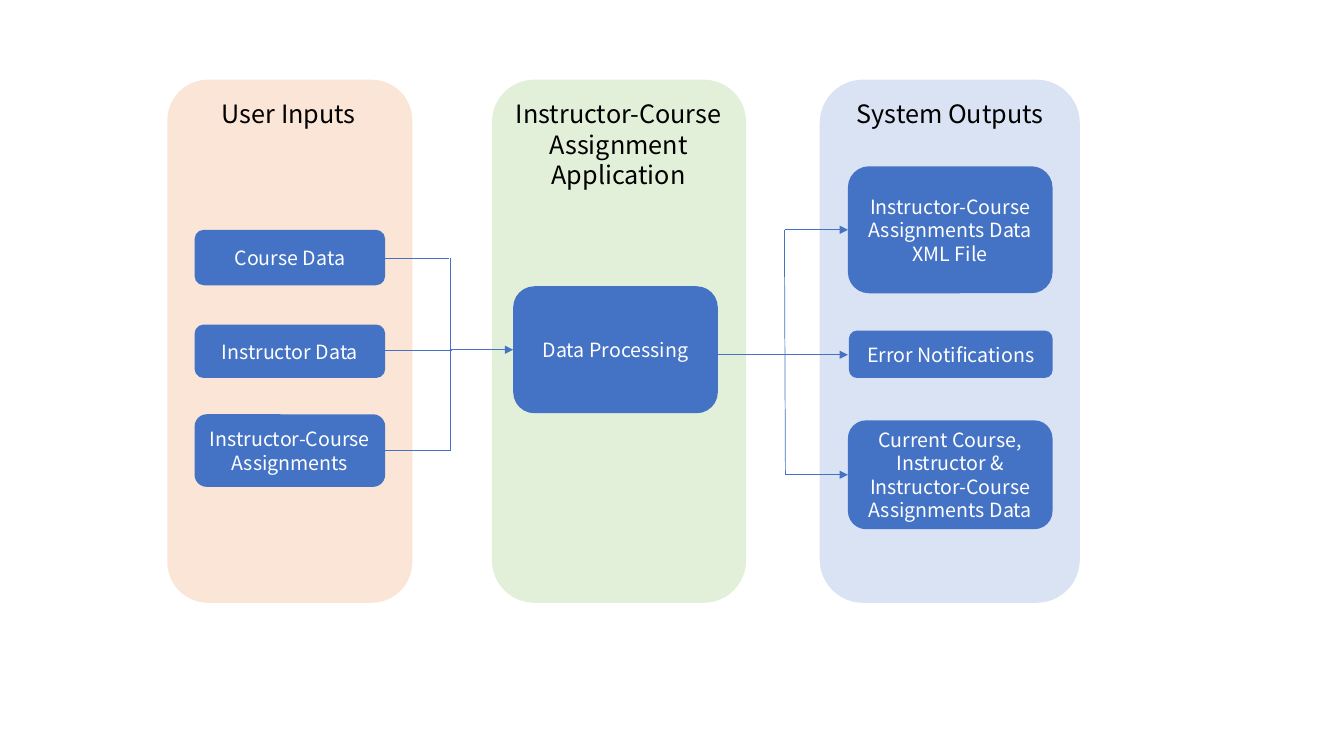
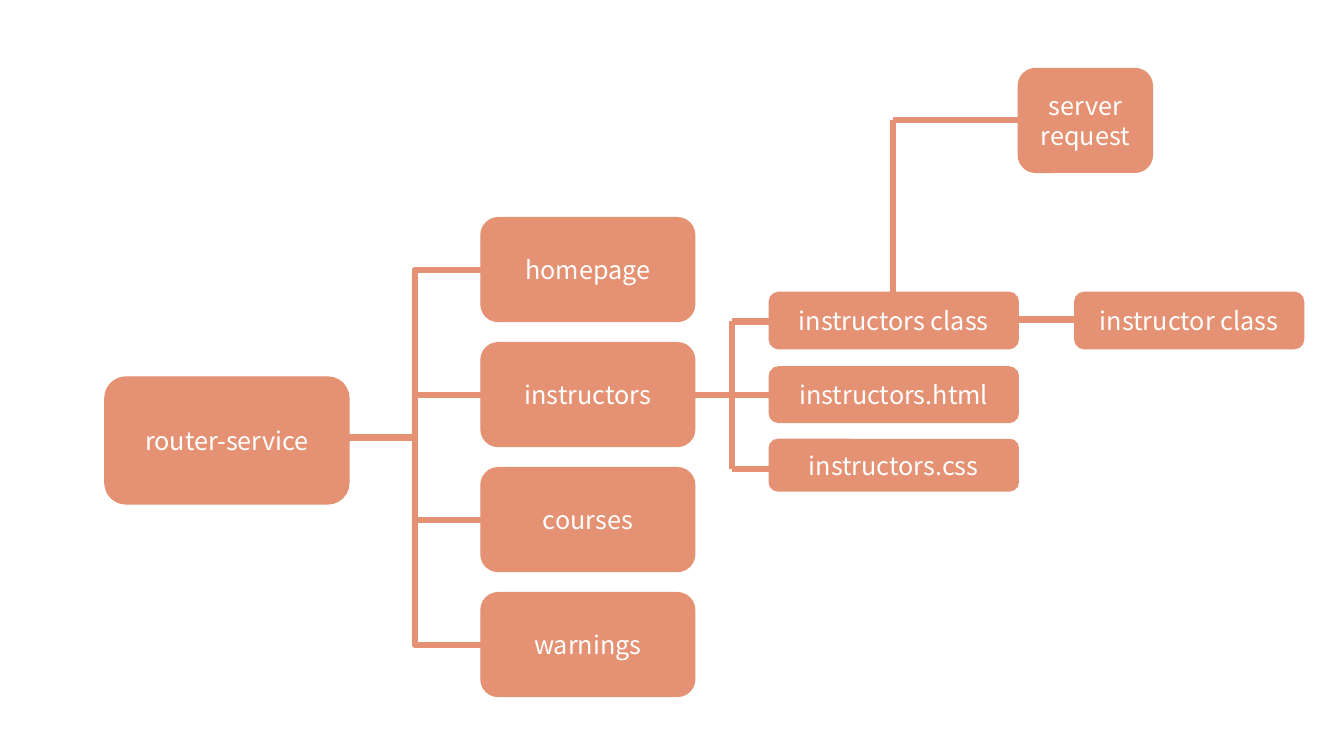
from dataclasses import dataclass
from typing import Any

from lxml.etree import SubElement
from pptx import Presentation
from pptx.dml.color import RGBColor
from pptx.enum.shapes import MSO_CONNECTOR, MSO_SHAPE
from pptx.enum.text import MSO_ANCHOR, MSO_AUTO_SIZE, PP_ALIGN
from pptx.oxml.ns import qn
from pptx.slide import Slide
from pptx.util import Pt

PX = 9144
FONT = "Noto Sans CJK JP"
BLUE, CORAL = "4472C4", "E49273"
WHITE, BLACK = "FFFFFF", "000000"


@dataclass
class Box:
    x: int
    y: int
    w: int
    h: int
    text: str = ""


@dataclass
class Panel:
    box: Box
    fill: str
    title: Box


@dataclass
class Link:
    x1: int
    y1: int
    x2: int
    y2: int
    arrow: bool = False
    bent: bool = False


def paint(item: Any, tone: str) -> None:
    item.solid()
    item.fore_color.rgb = RGBColor.from_string(tone)


def apply(item: Any, form: dict[str, Any]) -> None:
    for key, value in form.items():
        setattr(item, key, value)


def scale(*lengths: int) -> list[int]:
    return [length * PX for length in lengths]


def write(frame: Any, text: str, size: int, tone: str) -> None:
    para = frame.paragraphs[0]
    para.alignment = PP_ALIGN.CENTER
    run = para.add_run()
    run.text = text
    apply(run.font, {"name": FONT, "size": Pt(size)})
    paint(run.font.fill, tone)


def draw_box(slide: Slide, box: Box, fill: str, size: int = 14, edge: int = 0) -> None:
    shape = slide.shapes.add_shape(
        MSO_SHAPE.ROUNDED_RECTANGLE, *scale(box.x, box.y, box.w, box.h)
    )
    shape.shadow.inherit = False
    paint(shape.fill, fill)
    if edge:
        paint(shape.line.fill, fill)
        shape.line.width = Pt(edge)
    else:
        shape.line.fill.background()
    if box.text:
        apply(shape.text_frame, {"word_wrap": True, "vertical_anchor": MSO_ANCHOR.MIDDLE})
        write(shape.text_frame, box.text, size, WHITE)


def draw_title(slide: Slide, box: Box) -> None:
    frame = slide.shapes.add_textbox(*scale(box.x, box.y, box.w, box.h)).text_frame
    apply(frame, {"word_wrap": True, "auto_size": MSO_AUTO_SIZE.SHAPE_TO_FIT_TEXT})
    write(frame, box.text, 18, BLACK)


def draw_link(slide: Slide, link: Link, tone: str, width: float) -> None:
    kind = MSO_CONNECTOR.ELBOW if link.bent else MSO_CONNECTOR.STRAIGHT
    line = slide.shapes.add_connector(kind, *scale(link.x1, link.y1, link.x2, link.y2))
    paint(line.line.fill, tone)
    line.line.width = Pt(width)
    props = line.element.spPr
    if link.arrow:
        SubElement(props.find(qn("a:ln")), qn("a:tailEnd"), type="triangle")
    SubElement(props, qn("a:effectLst"))


def draw_flow(slide: Slide) -> None:
    top, high, head = 79, 519, 93
    panels = [
        Panel(Box(166, top, 243, high), "FBE5D6", Box(187, head, 199, 40, "User Inputs")),
        Panel(
            Box(488, top, 252, high),
            "E2F0D9",
            Box(493, head, 241, 101, "Instructor-Course Assignment Application"),
        ),
        Panel(Box(813, top, 258, high), "DAE3F3", Box(822, head, 241, 40, "System Outputs")),
    ]
    links = [
        Link(376, 256, 445, 256),
        Link(379, 348, 448, 348),
        Link(379, 447, 447, 447),
        Link(447, 256, 447, 447),
        Link(447, 347, 509, 347, arrow=True),
        Link(712, 352, 781, 352),
        Link(778, 228, 779, 471),
        *[Link(779, y, 841, y, arrow=True) for y in (228, 352, 471)],
    ]
    boxes = [
        Box(193, 228, 189, 55, "Course Data"),
        Box(193, 322, 189, 53, "Instructor Data"),
        Box(193, 411, 189, 72, "Instructor-Course Assignments"),
        Box(509, 284, 203, 126, "Data Processing"),
        Box(841, 165, 203, 126, "Instructor-Course Assignments Data XML File"),
        Box(842, 328, 202, 47, "Error Notifications"),
        Box(841, 417, 203, 108, "Current Course, Instructor & Instructor-Course Assignments Data"),
    ]
    for panel in panels:
        draw_box(slide, panel.box, panel.fill)
        draw_title(slide, panel.title)
    for link in links:
        draw_link(slide, link, BLUE, 0.5)
    for box in boxes:
        draw_box(slide, box, BLUE)


def draw_tree(slide: Slide) -> None:
    pages = [
        Box(477, 216 + 124 * row, 212, 103, name)
        for row, name in enumerate(("homepage", "instructors", "courses", "warnings"))
    ]
    boxes = [
        Box(104, 374, 242, 126, "router-service"),
        *pages,
        Box(763, 290, 247, 56, "instructors class"),
        Box(763, 364, 247, 55, "instructors.html"),
        Box(763, 436, 247, 51, "instructors.css"),
        Box(1066, 290, 227, 56, "instructor class"),
        Box(1010, 68, 133, 103, "server request"),
    ]
    links = [
        *[Link(346, 434, page.x, page.y + 52, bent=True) for page in pages],
        Link(688, 392, 763, 392),
        Link(726, 318, 726, 465),
        *[Link(726, y, 790, y) for y in (319, 465)],
        Link(1001, 317, 1066, 317),
        Link(886, 290, 886, 119),
        Link(886, 119, 1010, 119),
    ]
    for link in links:
        draw_link(slide, link, CORAL, 4.5)
    for box in boxes:
        draw_box(slide, box, CORAL, 18, 1)


def main() -> None:
    deck = Presentation()
    apply(deck, {"slide_width": 1333 * PX, "slide_height": 750 * PX})
    for draw in (draw_flow, draw_tree):
        draw(deck.slides.add_slide(deck.slide_layouts[6]))
    deck.save("out.pptx")


if __name__ == "__main__":
    main()
